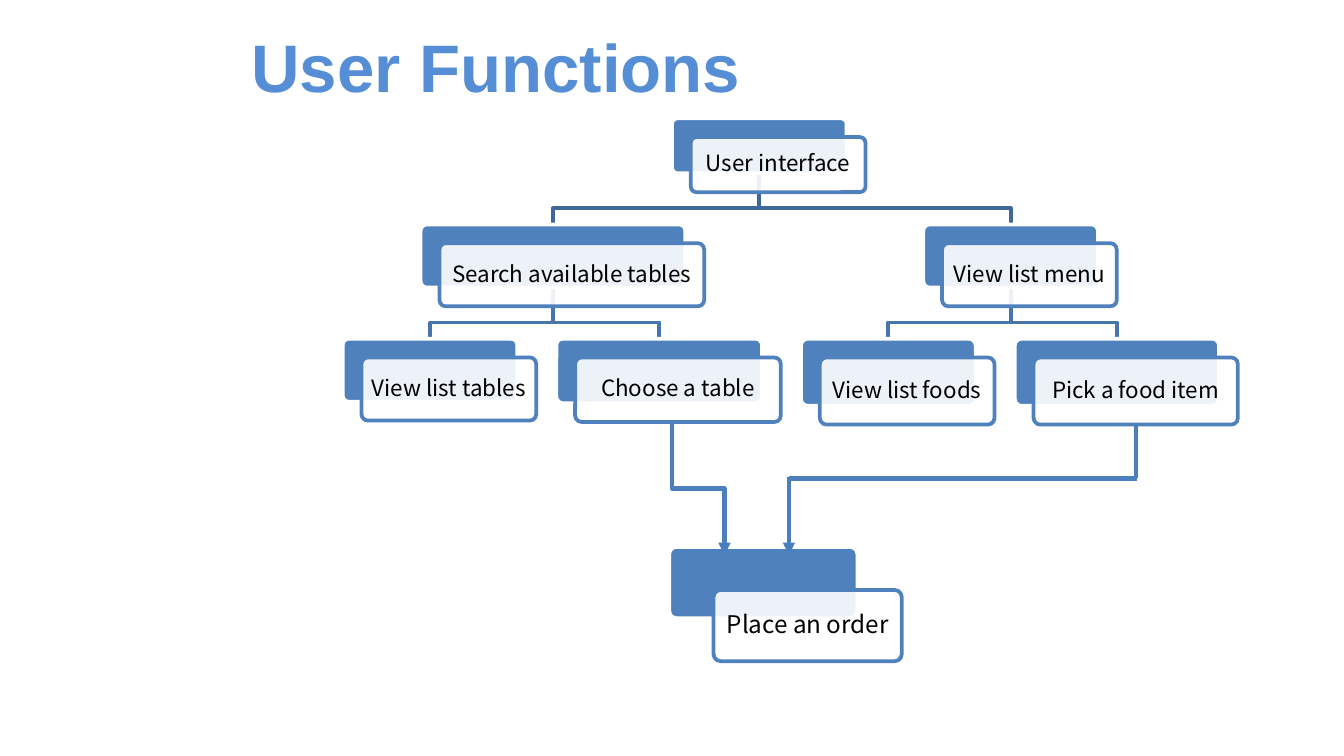
from collections import namedtuple

from pptx import Presentation
from pptx.dml.color import RGBColor
from pptx.enum.shapes import MSO_CONNECTOR, MSO_SHAPE
from pptx.enum.text import MSO_ANCHOR, PP_ALIGN
from pptx.oxml.ns import qn
from pptx.oxml.xmlchemy import OxmlElement
from pptx.util import Inches, Pt

ROUNDED = MSO_SHAPE.ROUNDED_RECTANGLE
ELBOW = MSO_CONNECTOR.ELBOW
STRAIGHT = MSO_CONNECTOR.STRAIGHT
MIDDLE = MSO_ANCHOR.MIDDLE
LEFT, CENTER = PP_ALIGN.LEFT, PP_ALIGN.CENTER

BLUE, WHITE, BLACK = "4F81BD", "FFFFFF", "000000"
FLOW_BLUE = "4B7EBC"
TITLE_BLUE = "558ED5"
LEVEL_BLUES = ["3F6797", "4875AC"]
ROWS = [0.88, 1.67, 2.52]
CARD_SHIFT = 0.14
BRANCH_DROP = 0.12

Node = namedtuple("Node", "text level left width height")

TREE = [
    (Node("User interface", 0, 5.0, 1.3, 0.41), [1, 2]),
    (Node("Search available tables", 1, 3.13, 1.97, 0.47), [3, 4]),
    (Node("View list menu", 1, 6.87, 1.3, 0.47), [5, 6]),
    (Node("View list tables", 2, 2.55, 1.3, 0.47), []),
    (Node("Choose a table", 2, 4.14, 1.53, 0.48), []),
    (Node("View list foods", 2, 5.96, 1.3, 0.5), []),
    (Node("Pick a food item", 2, 7.55, 1.52, 0.5), []),
]


def rgb(color):
    return RGBColor.from_string(color)


def add_run(p, text, size, font, color, bold=False):
    r = p.add_run()
    r.text = text
    r.font.size = Pt(size)
    r.font.name = font
    r.font.bold = bold
    r.font.color.rgb = rgb(color)
    ea = OxmlElement("a:ea")
    ea.set("typeface", font)
    r.font._element.find(qn("a:latin")).addnext(ea)


def add_title(slide, text):
    sp = slide.shapes.title
    sp.left, sp.top = Inches(1.77), 0
    sp.width, sp.height = Inches(8.23), Inches(0.97)
    tf = sp.text_frame
    tf.vertical_anchor = MIDDLE
    p = tf.paragraphs[0]
    p.alignment = LEFT
    add_run(p, text, 36, "Arial", TITLE_BLUE, True)


def add_plate(slide, left, top, width, height, fill, line):
    sp = slide.shapes.add_shape(
        ROUNDED, Inches(left), Inches(top), Inches(width), Inches(height))
    sp.shadow.inherit = False
    sp.adjustments[0] = 0.1
    sp.fill.solid()
    sp.fill.fore_color.rgb = rgb(fill)
    sp.line.color.rgb = rgb(line)
    sp.line.width = Pt(2)
    return sp


def add_card(slide, text, left, top, width, height, dx=CARD_SHIFT, dy=CARD_SHIFT, size=12):
    add_plate(slide, left, top, width, height, BLUE, WHITE)
    sp = add_plate(slide, left + dx, top + dy, width, height, WHITE, BLUE)
    alpha = OxmlElement("a:alpha")
    alpha.set("val", "90000")
    sp.fill._xPr.find(qn("a:solidFill"))[0].append(alpha)
    tf = sp.text_frame
    tf.word_wrap = True
    tf.vertical_anchor = MIDDLE
    tf.margin_left = tf.margin_right = Inches(0.06)
    tf.margin_top = tf.margin_bottom = Inches(0.06)
    p = tf.paragraphs[0]
    p.alignment = CENTER
    p.line_spacing = 0.9
    add_run(p, text, size, "Noto Sans CJK KR", BLACK)


def add_branch(slide, parent, child):
    x1 = Inches(parent.left + parent.width / 2)
    y1 = Inches(ROWS[parent.level] + parent.height)
    x2 = Inches(child.left + child.width / 2)
    y2 = Inches(ROWS[child.level])
    bend = y2 - Inches(BRANCH_DROP)
    builder = slide.shapes.build_freeform(x1, y1)
    builder.add_line_segments([(x1, bend), (x2, bend), (x2, y2)], close=False)
    sp = builder.convert_to_shape()
    sp.shadow.inherit = False
    sp.fill.background()
    sp.line.color.rgb = rgb(LEVEL_BLUES[parent.level])
    sp.line.width = Pt(2)


def add_line(slide, x1, y1, x2, y2, arrow=False, kind=STRAIGHT):
    c = slide.shapes.add_connector(
        kind, Inches(x1), Inches(y1), Inches(x2), Inches(y2))
    c.line.color.rgb = rgb(FLOW_BLUE)
    c.line.width = Pt(2.25)
    c._element.spPr.append(OxmlElement("a:effectLst"))
    if arrow:
        tail = OxmlElement("a:tailEnd")
        tail.set("type", "triangle")
        c.line._get_or_add_ln().append(tail)
    return c


def add_down_elbow(slide, x1, y1, x2, y2):
    cx, cy = (x1 + x2) / 2, (y1 + y2) / 2
    dx, dy = (x2 - x1) / 2, (y2 - y1) / 2
    c = add_line(slide, cx + dy, cy - dx, cx - dy, cy + dx, True, ELBOW)
    c._element.spPr.find(qn("a:xfrm")).set("rot", str(270 * 60000))


def main():
    prs = Presentation()
    prs.slide_width = Inches(10)
    prs.slide_height = prs.slide_width * 9 // 16
    slide = prs.slides.add_slide(prs.slide_layouts[5])
    add_title(slide, "User Functions")
    for parent, children in reversed(TREE):
        for i in reversed(children):
            add_branch(slide, parent, TREE[i][0])
    for node, _ in TREE:
        add_card(slide, node.text, node.left, ROWS[node.level], node.width, node.height)
    add_card(slide, "Place an order", 4.98, 4.07, 1.4, 0.53, 0.33, 0.32, 13)
    add_down_elbow(slide, 5, 3.14, 5.39, 4.13)
    add_line(slide, 8.45, 3.16, 8.45, 3.56)
    add_line(slide, 8.46, 3.56, 5.87, 3.56)
    add_line(slide, 5.87, 3.55, 5.87, 4.13, True)
    prs.save("out.pptx")


if __name__ == "__main__":
    main()
